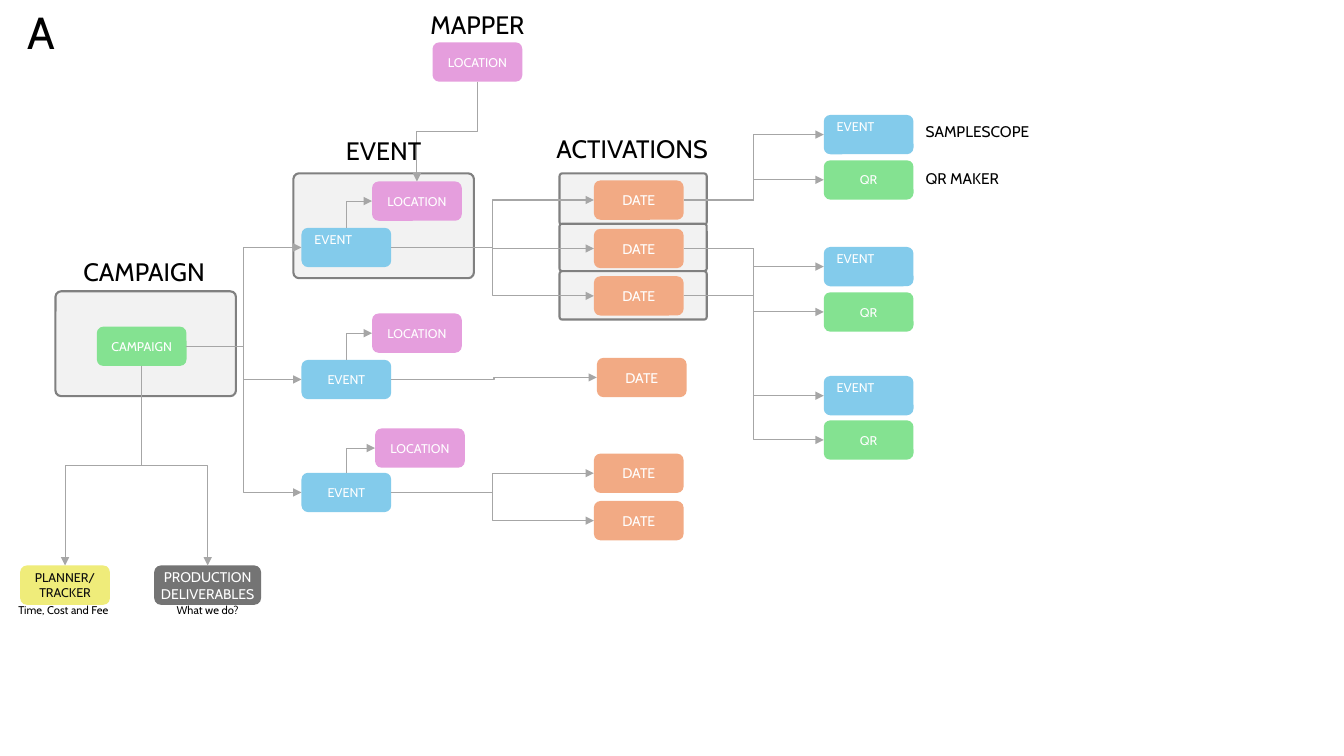
from lxml import etree
from pptx import Presentation
from pptx.dml.color import RGBColor
from pptx.enum.shapes import MSO_CONNECTOR, MSO_SHAPE
from pptx.enum.text import MSO_ANCHOR, PP_ALIGN
from pptx.oxml.ns import qn
from pptx.util import Inches, Pt

FONT = "Cabin"
COLORS = {
    "green": "84E291", "pink": "E59EDD", "orange": "F2AA84", "blue": "83CBEB",
    "yellow": "EFEC7A", "gray": "747474", "frame": "F2F2F2", "border": "808080",
    "link": "A6A6A6", "white": "FFFFFF", "black": "000000", "ink": "0D0D0D",
}
NODE_WIDTH, NODE_HEIGHT = 0.89, 0.39
EVENT_X, DATE_X, OUTPUT_X = 2.99, 5.89, 8.17

FRAMES = [
    (0.55, 2.89, 1.79, 1.04),
    (2.91, 1.72, 1.79, 1.04),
    (5.55, 1.72, 1.46, 0.51),
    (5.55, 2.22, 1.46, 0.47),
    (5.55, 2.69, 1.46, 0.48),
]

KINDS = {
    "campaign": ("CAMPAIGN", "green", 9, "white"),
    "location": ("LOCATION", "pink", 9, "white"),
    "date": ("DATE", "orange", 10, "white"),
    "event": ("EVENT", "blue", 9, "white"),
    "corner event": ("EVENT", "blue", 9, "white"),
    "qr": ("QR", "green", 9, "white"),
    "tracking": ("PLANNER/\nTRACKER", "yellow", 9, "ink"),
    "production": ("PRODUCTION\nDELIVERABLES", "gray", 10, "white"),
}

NODES = {
    "campaign": ("campaign", 0.96, 3.24),
    "source location": ("location", 4.29, 0.42),
    "location 1": ("location", 3.69, 1.8),
    "location 2": ("location", 3.69, 3.11),
    "location 3": ("location", 3.72, 4.25),
    "event 1": ("corner event", EVENT_X, 2.26),
    "event 2": ("event", EVENT_X, 3.57),
    "event 3": ("event", EVENT_X, 4.69),
    "date 1": ("date", DATE_X, 1.79),
    "date 2": ("date", DATE_X, 2.27),
    "date 3": ("date", DATE_X, 2.74),
    "date 4": ("date", 5.92, 3.55),
    "date 5": ("date", DATE_X, 4.5),
    "date 6": ("date", DATE_X, 4.97),
    "output 1": ("corner event", OUTPUT_X, 1.14),
    "output 2": ("corner event", OUTPUT_X, 2.45),
    "output 3": ("corner event", OUTPUT_X, 3.73),
    "qr 1": ("qr", OUTPUT_X, 1.59),
    "qr 2": ("qr", OUTPUT_X, 2.9),
    "qr 3": ("qr", OUTPUT_X, 4.17),
    "tracking": ("tracking", 0.2, 5.61),
    "production": ("production", 1.53, 5.61),
}

SIDEWAYS_LINKS = {
    "campaign": ["event 1", "event 2", "event 3"],
    "event 1": ["date 1", "date 2", "date 3"],
    "event 2": ["date 4"],
    "event 3": ["date 5", "date 6"],
    "date 1": ["output 1", "qr 1"],
    "date 2": ["output 2", "qr 2"],
    "date 3": ["output 3", "qr 3"],
}
DOWNWARD_LINKS = {
    "source location": ["location 1"],
    "campaign": ["tracking", "production"],
}
UPWARD_LINKS = {
    "event 1": ["location 1"],
    "event 2": ["location 2"],
    "event 3": ["location 3"],
}

LABELS = [
    ("A", 0.1, 0.05, 0.63, 0.54, 32, PP_ALIGN.CENTER),
    ("MAPPER", 4.09, 0.09, 1.29, 0.3, 18, PP_ALIGN.CENTER),
    ("EVENT", 3.36, 1.34, 0.89, 0.3, 18, PP_ALIGN.CENTER),
    ("ACTIVATIONS", 4.86, 1.32, 2.82, 0.3, 18, PP_ALIGN.CENTER),
    ("CAMPAIGN", 0.65, 2.54, 1.56, 0.3, 18, PP_ALIGN.CENTER),
    ("SAMPLESCOPE", 9.18, 1.21, 1.37, 0.19, 11, PP_ALIGN.LEFT),
    ("QR MAKER", 9.18, 1.68, 1.37, 0.19, 11, PP_ALIGN.LEFT),
    ("Time, Cost and Fee", -0.15, 5.99, 1.56, 0.13, 8, PP_ALIGN.CENTER),
    ("What we do?", 1.53, 5.99, 1.06, 0.13, 8, PP_ALIGN.CENTER),
]


def rgb(name):
    return RGBColor.from_string(COLORS[name])


def write_text(shape, text, size, color, align, insets):
    frame = shape.text_frame
    frame.word_wrap = True
    frame.margin_left, frame.margin_top, frame.margin_right, frame.margin_bottom = map(Inches, insets)
    frame.text = text
    for paragraph in frame.paragraphs:
        paragraph.alignment = align
        paragraph.font.name = FONT
        paragraph.font.size = Pt(size)
        paragraph.font.color.rgb = rgb(color)


def add_box(slide, left, top, width, height, fill):
    shape = slide.shapes.add_shape(
        MSO_SHAPE.ROUNDED_RECTANGLE, *map(Inches, (left, top, width, height)))
    shape.shadow.inherit = False
    shape.fill.solid()
    shape.fill.fore_color.rgb = rgb(fill)
    shape.line.fill.background()
    return shape


def add_frame(slide, bounds):
    shape = add_box(slide, *bounds, "frame")
    shape.adjustments[0] = 0.054
    shape.line.color.rgb = rgb("border")
    shape.line.width = Pt(1.5)


def node_width(kind):
    return 1.06 if kind == "production" else NODE_WIDTH


def add_node(slide, kind, left, top):
    text, fill, size, color = KINDS[kind]
    shape = add_box(slide, left, top, node_width(kind), NODE_HEIGHT, fill)
    align, anchor, insets = PP_ALIGN.CENTER, MSO_ANCHOR.MIDDLE, (0.04, 0.05, 0.04, 0.05)
    if kind == "corner event":
        align, anchor, insets = PP_ALIGN.LEFT, MSO_ANCHOR.TOP, (0.11, 0.02, 0.1, 0.05)
    write_text(shape, text, size, color, align, insets)
    shape.text_frame.vertical_anchor = anchor


def side_point(name, side):
    kind, left, top = NODES[name]
    width = node_width(kind)
    return {
        "top": (left + width / 2, top),
        "left": (left, top + NODE_HEIGHT / 2),
        "bottom": (left + width / 2, top + NODE_HEIGHT),
        "right": (left + width, top + NODE_HEIGHT / 2),
    }[side]


def add_link(slide, start, end, turn=0, preset="bentConnector3"):
    if turn:
        center_x, center_y = (start[0] + end[0]) / 2, (start[1] + end[1]) / 2
        half_length = abs(end[1] - start[1]) / 2
        half_shift = (end[0] - start[0]) / 2 * (1 if turn == 90 else -1)
        start = (center_x - half_length, center_y + half_shift)
        end = (center_x + half_length, center_y - half_shift)
    connector = slide.shapes.add_connector(MSO_CONNECTOR.ELBOW, *map(Inches, start + end))
    connector.line.color.rgb = rgb("link")
    connector.line.width = Pt(0.75)
    properties = connector._element.spPr
    if turn:
        properties.find(qn("a:xfrm")).set("rot", str(turn * 60000))
    properties.find(qn("a:prstGeom")).set("prst", preset)
    etree.SubElement(properties.find(qn("a:ln")), qn("a:tailEnd"), type="triangle")
    etree.SubElement(properties, qn("a:effectLst"))


def add_links(slide, links, start_side, end_side, **shape_options):
    for source, targets in links.items():
        for target in targets:
            add_link(slide, side_point(source, start_side),
                     side_point(target, end_side), **shape_options)


def main():
    presentation = Presentation()
    presentation.slide_width = Inches(13.33)
    presentation.slide_height = Inches(7.5)
    slide = presentation.slides.add_slide(presentation.slide_layouts[6])

    for bounds in FRAMES:
        add_frame(slide, bounds)
    for node in NODES.values():
        add_node(slide, *node)
    add_links(slide, SIDEWAYS_LINKS, "right", "left")
    add_links(slide, DOWNWARD_LINKS, "bottom", "top", turn=90)
    add_links(slide, UPWARD_LINKS, "top", "left", turn=270, preset="bentConnector2")
    for text, left, top, width, height, size, align in LABELS:
        box = slide.shapes.add_textbox(*map(Inches, (left, top, width, height)))
        write_text(box, text, size, "black", align, (0, 0, 0, 0))

    presentation.save("out.pptx")


if __name__ == "__main__":
    main()
